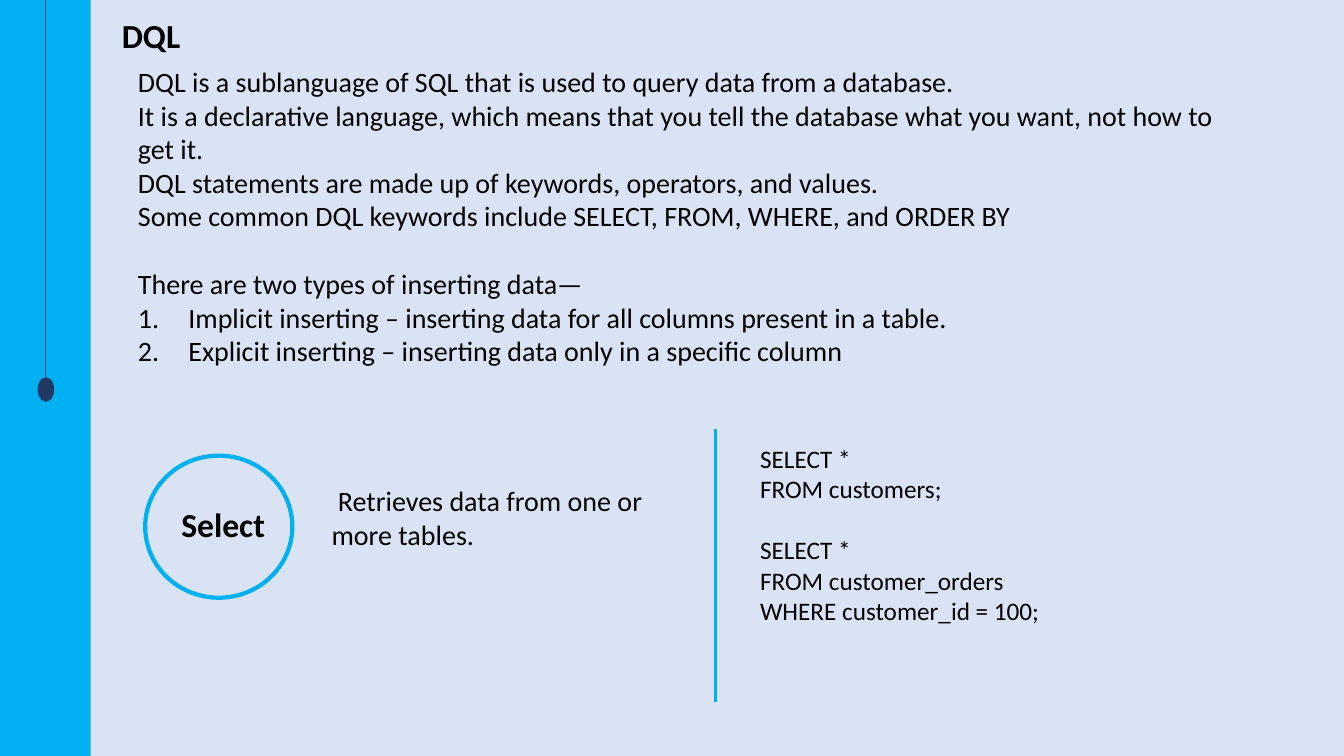
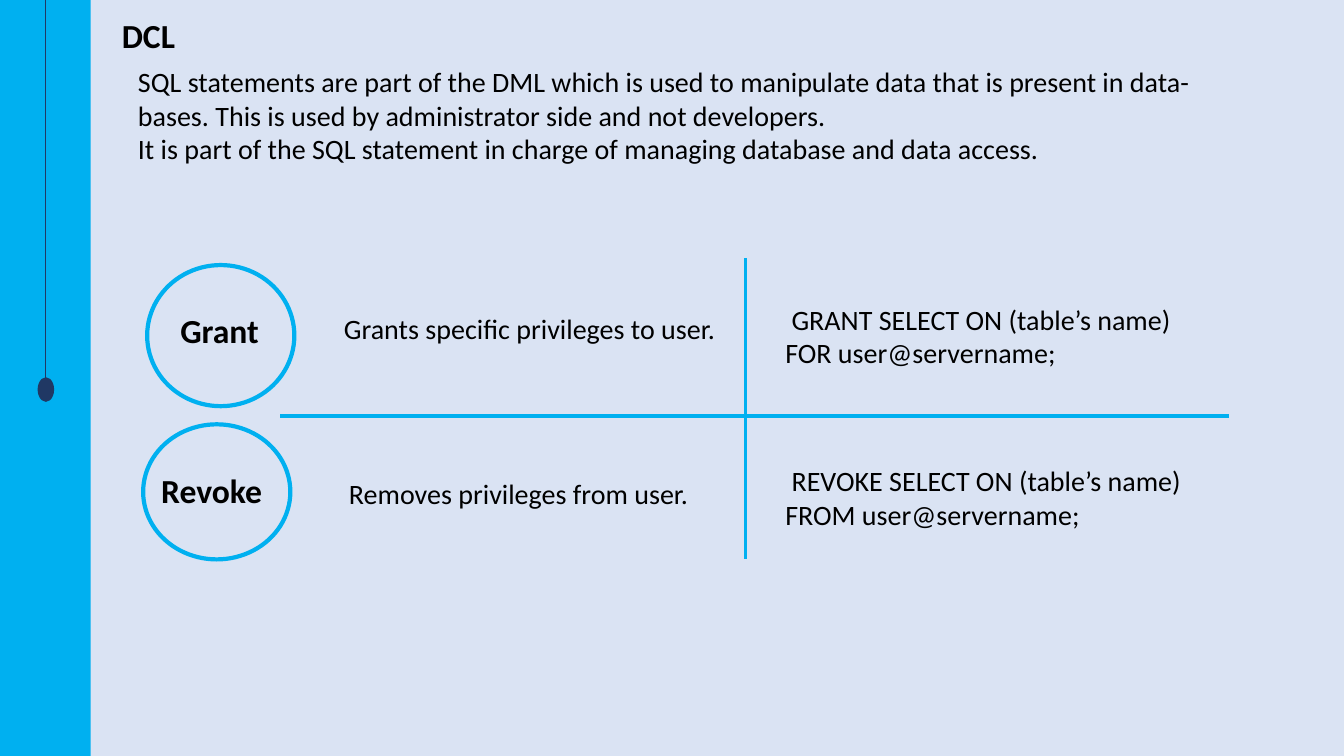
from pptx import Presentation
from pptx.dml.color import RGBColor
from pptx.enum.shapes import MSO_CONNECTOR as Link, MSO_SHAPE as Form
from pptx.enum.text import MSO_AUTO_SIZE as Auto
from pptx.oxml.ns import qn
from pptx.util import Emu, Pt
from lxml.etree import SubElement as sub

PX = 9144
WIDE, HIGH = 1333, 750
RAIL = 90
BACK, BLUE, NAVY, INK = "DAE3F3", "00B0F0", "203864", "000000"
HEAD = {"name": "Calibri", "size": Pt(24), "bold": True}
BODY = {"name": "Calibri", "size": Pt(20), "bold": False}
CODE = {"name": "Calibri", "size": Pt(18), "bold": False}

PAGES = [
    {
        "title": "DQL",
        "body": [
            ("plain", [
                "DQL is a sublanguage of SQL that is used to query data from a database.",
                "It is a declarative language, which means that you tell the database what you want, not how to",
                "get it.",
                "DQL statements are made up of keywords, operators, and values.",
                "Some common DQL keywords include SELECT, FROM, WHERE, and ORDER BY",
            ]),
            ("plain", ["There are two types of inserting data—"]),
            ("count", [
                "Implicit inserting – inserting data for all columns present in a table.",
                "Explicit inserting – inserting data only in a specific column",
            ]),
        ],
        "tall": 313,
        "rings": [("Select", (144, 452, 146, 141), (170, 495, 127, 53))],
        "notes": [
            ((319, 475, 338, 77), BODY, False,
             [("plain", [" Retrieves data from one or", "more tables."])]),
            ((744, 435, 442, 192), CODE, True,
             [("plain", ["SELECT *", "FROM customers;"]),
              ("plain", ["SELECT *", "FROM customer_orders",
                         "WHERE customer_id = 100;"])]),
        ],
        "rules": [((710, 426, 710, 696), 2.25)],
    },
    {
        "title": "DCL",
        "body": [
            ("plain", [
                "SQL statements are part of the DML which is used to manipulate data that is present in data-",
                "bases. This is used by administrator side and not developers.",
                "It is part of the SQL statement in charge of managing database and data access.",
            ]),
        ],
        "tall": 111,
        "rings": [
            ("Grant", (146, 263, 146, 140), (169, 303, 113, 50)),
            ("Revoke", (142, 421, 146, 134), (150, 461, 127, 50)),
        ],
        "notes": [
            ((325, 304, 399, 44), BODY, False,
             [("plain", [" Grants specific privileges to user."])]),
            ((330, 468, 366, 44), BODY, False,
             [("plain", [" Removes privileges from user."])]),
            ((769, 295, 406, 77), BODY, False,
             [("plain", [" GRANT SELECT ON (table’s name)", "FOR user@servername;"])]),
            ((769, 455, 416, 77), BODY, False,
             [("plain", [" REVOKE SELECT ON (table’s name)", "FROM user@servername;"])]),
        ],
        "rules": [((278, 413, 1219, 413), 3), ((739, 256, 739, 555), 2.25)],
    },
]


def px(*nums):
    return [Emu(num * PX) for num in nums]


def tint(hue):
    return RGBColor.from_string(hue)


def paint(fill, hue):
    fill.solid()
    fill.fore_color.rgb = tint(hue)


def shape(host, form, box, fill=None, line=None, width=1):
    item = host.add_shape(form, *px(*box))
    item.shadow.inherit = False
    if fill:
        paint(item.fill, fill)
    else:
        item.fill.background()
    if line:
        paint(item.line.fill, line)
        item.line.width = Pt(width)
    else:
        item.line.fill.background()


def rule(host, ends, hue, width):
    item = host.add_connector(Link.STRAIGHT, *px(*ends))
    item.line.color.rgb = tint(hue)
    item.line.width = Pt(width)
    sub(item.element.spPr, qn("a:effectLst"))


def count(para):
    props = para._p.get_or_add_pPr()
    props.set("marL", str(50 * PX))
    props.set("indent", str(-50 * PX))
    sub(props, qn("a:buFont"), typeface="+mj-lt")
    sub(props, qn("a:buAutoNum"), type="arabicPeriod")


def text(host, box, groups, style, wrap=True):
    frame = host.add_textbox(*px(*box)).text_frame
    frame.word_wrap = wrap
    frame.auto_size = Auto.SHAPE_TO_FIT_TEXT
    para = None
    for kind, lines in groups:
        for spot, line in enumerate(lines):
            first = para is None
            para = frame.paragraphs[0] if first else frame.add_paragraph()
            if kind == "plain" and spot == 0 and not first:
                para.space_before = Pt(round(style["size"].pt * 1.22, 1))
            if kind == "count":
                count(para)
            run = para.add_run()
            run.text = line
            for key, val in style.items():
                setattr(run.font, key, val)
            run.font.color.rgb = tint(INK)


def base(host, title):
    mid = RAIL // 2
    shape(host, Form.RECTANGLE, (0, 0, RAIL, HIGH), BLUE)
    rule(host, (mid, 0, mid, HIGH // 2), NAVY, 0.5)
    shape(host, Form.OVAL, (mid - 7, HIGH // 2, 15, 23), NAVY, NAVY)
    text(host, (111, 10, 116, 50), [("plain", [title])], HEAD)


def build(deck, page):
    host = deck.slides.add_slide(deck.slide_layouts[6]).shapes
    base(host, page["title"])
    text(host, (127, 59, 1110, page["tall"]), page["body"], BODY)
    group = host.add_group_shape().shapes
    for label, ring, box in page["rings"]:
        shape(group, Form.OVAL, ring, line=BLUE, width=3)
        text(group, box, [("plain", [label])], HEAD)
    for box, style, wrap, groups in page["notes"]:
        text(host, box, groups, style, wrap)
    for ends, width in page["rules"]:
        rule(host, ends, BLUE, width)


def main():
    deck = Presentation()
    deck.slide_width, deck.slide_height = px(WIDE, HIGH)
    paint(deck.slide_master.background.fill, BACK)
    for page in PAGES:
        build(deck, page)
    deck.save("out.pptx")


if __name__ == "__main__":
    main()
